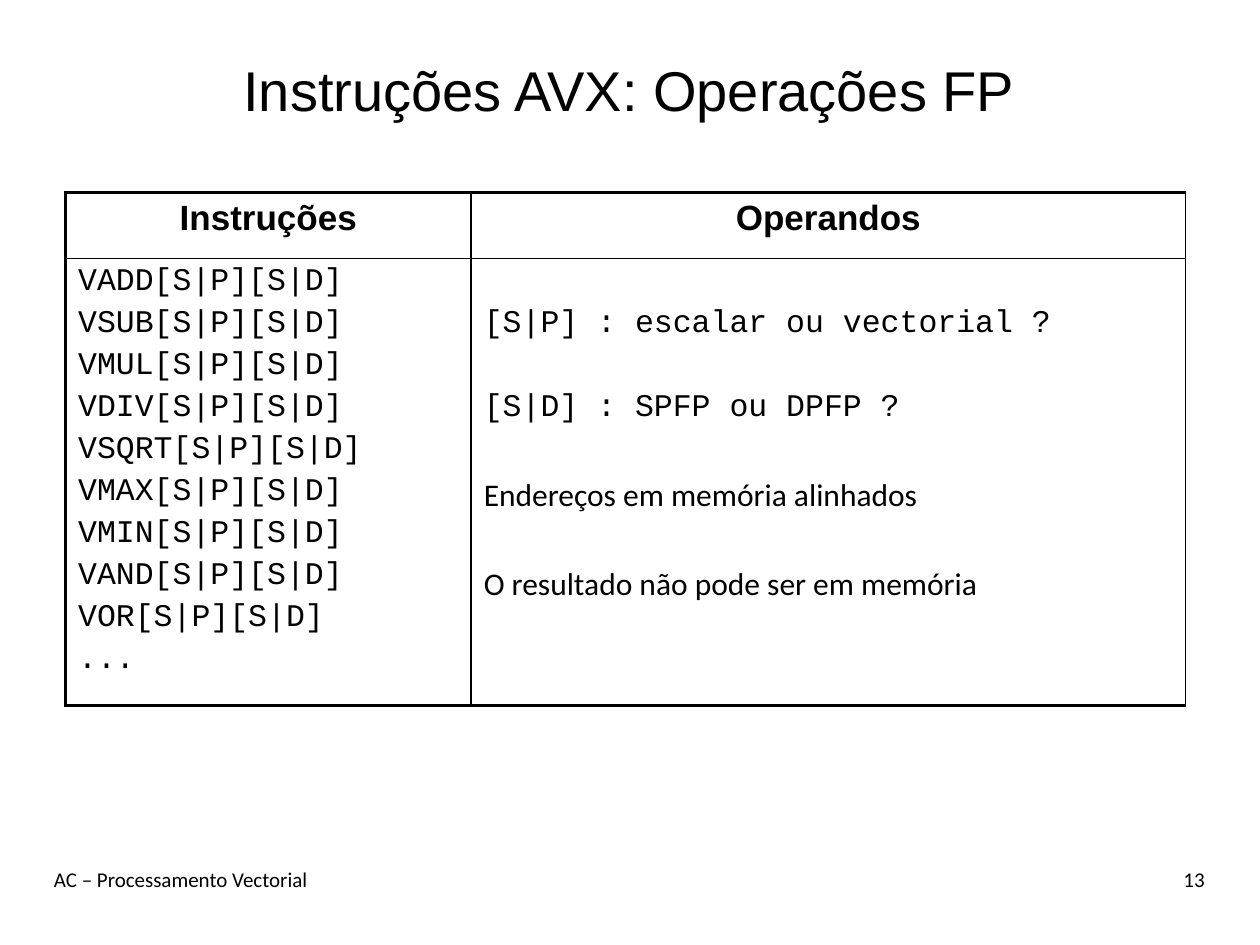
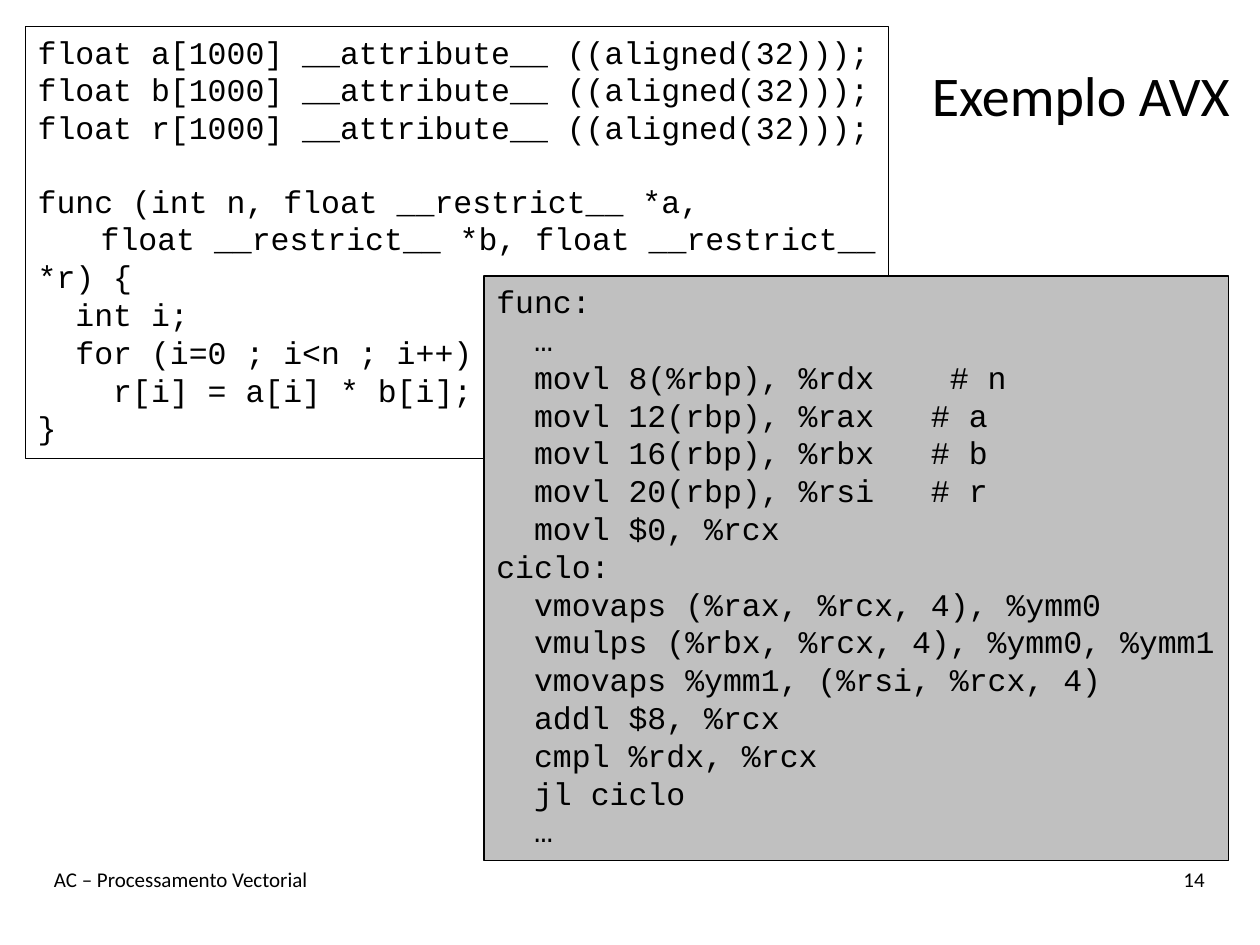
"""Build two slides on AVX instructions: an operations table and a code example."""
from dataclasses import dataclass

from lxml import etree
from pptx import Presentation
from pptx import util as u
from pptx.dml.color import RGBColor
from pptx.enum import shapes, text
from pptx.oxml.ns import qn


@dataclass(frozen=True)
class Theme:
    ink: str = "000000"
    panel: str = "C0C0C0"
    sans: str = "Arial"
    body: str = "Calibri"
    mono: str = "Courier New"
    title_size: float = 32
    head_size: float = 20
    text_size: float = 18
    foot_size: float = 12
    thick: float = 2.25
    thin: float = 1
    outline: float = 0.75


OPERATIONS = ["VADD", "VSUB", "VMUL", "VDIV", "VSQRT", "VMAX", "VMIN", "VAND", "VOR"]

C_DECLARATIONS = [f"float {v}[1000] __attribute__ ((aligned(32)));" for v in "abr"]
C_FUNCTION = """func (int n, float __restrict__ *a,
\tfloat __restrict__ *b, float __restrict__ *r) {
  int i;
  for (i=0 ; i<n ; i++)
    r[i] = a[i] * b[i];
}""".split("\n")

ASSEMBLY = """func:
  …
  movl 8(%rbp), %rdx    # n
  movl 12(rbp), %rax   # a
  movl 16(rbp), %rbx   # b
  movl 20(rbp), %rsi   # r
  movl $0, %rcx
ciclo:
  vmovaps (%rax, %rcx, 4), %ymm0
  vmulps (%rbx, %rcx, 4), %ymm0, %ymm1
  vmovaps %ymm1, (%rsi, %rcx, 4)
  addl $8, %rcx
  cmpl %rdx, %rcx
  jl ciclo
  …""".split("\n")


def write(tf, lines, font, size, color, bold=False, align=text.PP_ALIGN.LEFT,
          before=0, append=False):
    """Write one paragraph per line, with `before` points above all but the first."""
    for i, line in enumerate(lines):
        first = i == 0 and not append
        p = tf.paragraphs[0] if first else tf.add_paragraph()
        p.alignment = align
        p.space_before = u.Pt(0 if first else before)
        r = p.add_run()
        r.text = line
        r.font.name, r.font.size, r.font.bold = font, u.Pt(size), bold
        r.font.color.rgb = RGBColor.from_string(color)


class Deck:
    """Hold the theme and the current slide."""

    def __init__(self, theme):
        self.t = theme
        self.prs = Presentation()
        self.prs.slide_width, self.prs.slide_height = u.Inches(10), u.Inches(7.5)

    def slide(self, number):
        self.s = self.prs.slides.add_slide(self.prs.slide_layouts[6])
        for line, x, w, align in (
                ("AC – Processamento Vectorial", 0.33, 7, text.PP_ALIGN.LEFT),
                (str(number), 8.33, 1.33, text.PP_ALIGN.RIGHT)):
            self.label(line, (x, 6.83, w, 0.5), font=self.t.body,
                       size=self.t.foot_size, align=align)

    def label(self, line, box, anchor=text.MSO_ANCHOR.TOP, **fmt):
        tf = self.s.shapes.add_textbox(*map(u.Inches, box)).text_frame
        tf.word_wrap = True
        tf.vertical_anchor = anchor
        write(tf, [line], color=self.t.ink, **fmt)

    def title(self, line, box, font):
        self.label(line, box, anchor=text.MSO_ANCHOR.MIDDLE, font=font,
                   size=self.t.title_size, align=text.PP_ALIGN.CENTER)

    def code(self, blocks, box, fill=None):
        sp = self.s.shapes.add_shape(shapes.MSO_SHAPE.RECTANGLE, *map(u.Inches, box))
        sp.shadow.inherit = False
        if fill:
            sp.fill.solid()
            sp.fill.fore_color.rgb = RGBColor.from_string(fill)
        else:
            sp.fill.background()
        sp.line.color.rgb = RGBColor.from_string(self.t.ink)
        sp.line.width = u.Pt(self.t.outline)
        tf = sp.text_frame
        tf.word_wrap = True
        tf.auto_size = text.MSO_AUTO_SIZE.SHAPE_TO_FIT_TEXT
        tf.vertical_anchor = text.MSO_ANCHOR.TOP
        fmt = dict(font=self.t.mono, size=self.t.text_size, color=self.t.ink)
        for i, block in enumerate(blocks):
            write(tf, block[:1], before=20.4, append=i > 0, **fmt)
            write(tf, block[1:], append=True, **fmt)

    def table(self, x, y, widths, heights):
        rows, cols = len(heights), len(widths)
        frame = self.s.shapes.add_table(rows, cols, *map(
            u.Inches, (x, y, sum(widths), sum(heights))))
        tbl = frame.table
        tbl.first_row = tbl.horz_banding = False
        for col, w in zip(tbl.columns, widths):
            col.width = u.Inches(w)
        for row, h in zip(tbl.rows, heights):
            row.height = u.Inches(h)
        for i in range(rows):
            for j in range(cols):
                heavy = {"L": j == 0, "R": False, "T": i == 0, "B": i == rows - 1}
                self.borders(tbl.cell(i, j), heavy)
        return tbl

    def borders(self, cell, heavy):
        pr = cell._tc.get_or_add_tcPr()
        for side, thick in heavy.items():
            width = u.Pt(self.t.thick if thick else self.t.thin)
            ln = etree.SubElement(pr, qn(f"a:ln{side}"), w=str(int(width)))
            solid = etree.SubElement(ln, qn("a:solidFill"))
            etree.SubElement(solid, qn("a:srgbClr"), val=self.t.ink)
        cell.fill.background()


def operations_slide(deck):
    t = deck.t
    deck.slide(13)
    deck.title("Instruções AVX: Operações FP", (0.33, 0.25, 9.33, 0.92), t.sans)
    tbl = deck.table(0.52, 1.53, (3.22, 5.67), (0.52, 3.38))
    for j, head in enumerate(("Instruções", "Operandos")):
        write(tbl.cell(0, j).text_frame, [head], t.sans, t.head_size, t.ink,
              bold=True, align=text.PP_ALIGN.CENTER)
    names = [f"{op}[S|P][S|D]" for op in OPERATIONS] + ["..."]
    write(tbl.cell(1, 0).text_frame, names, t.mono, t.text_size, t.ink, before=3.6)
    operands = tbl.cell(1, 1)
    operands.margin_top = u.Inches(0.38)
    write(operands.text_frame,
          ["[S|P] : escalar ou vectorial ?", "[S|D] : SPFP ou DPFP ?"],
          t.mono, t.text_size, t.ink, before=27.6)
    write(operands.text_frame,
          ["Endereços em memória alinhados", "O resultado não pode ser em memória"],
          t.body, t.text_size, t.ink, before=28.8, append=True)


def example_slide(deck):
    deck.slide(14)
    deck.title("Exemplo AVX", (7.28, 0.29, 2.6, 0.92), deck.t.body)
    deck.code([C_DECLARATIONS, C_FUNCTION], (0.2, 0.21, 6.85, 3.43))
    deck.code([ASSEMBLY], (3.84, 2.19, 5.91, 4.64), fill=deck.t.panel)


def main():
    deck = Deck(Theme())
    operations_slide(deck)
    example_slide(deck)
    deck.prs.save("out.pptx")


if __name__ == "__main__":
    main()
